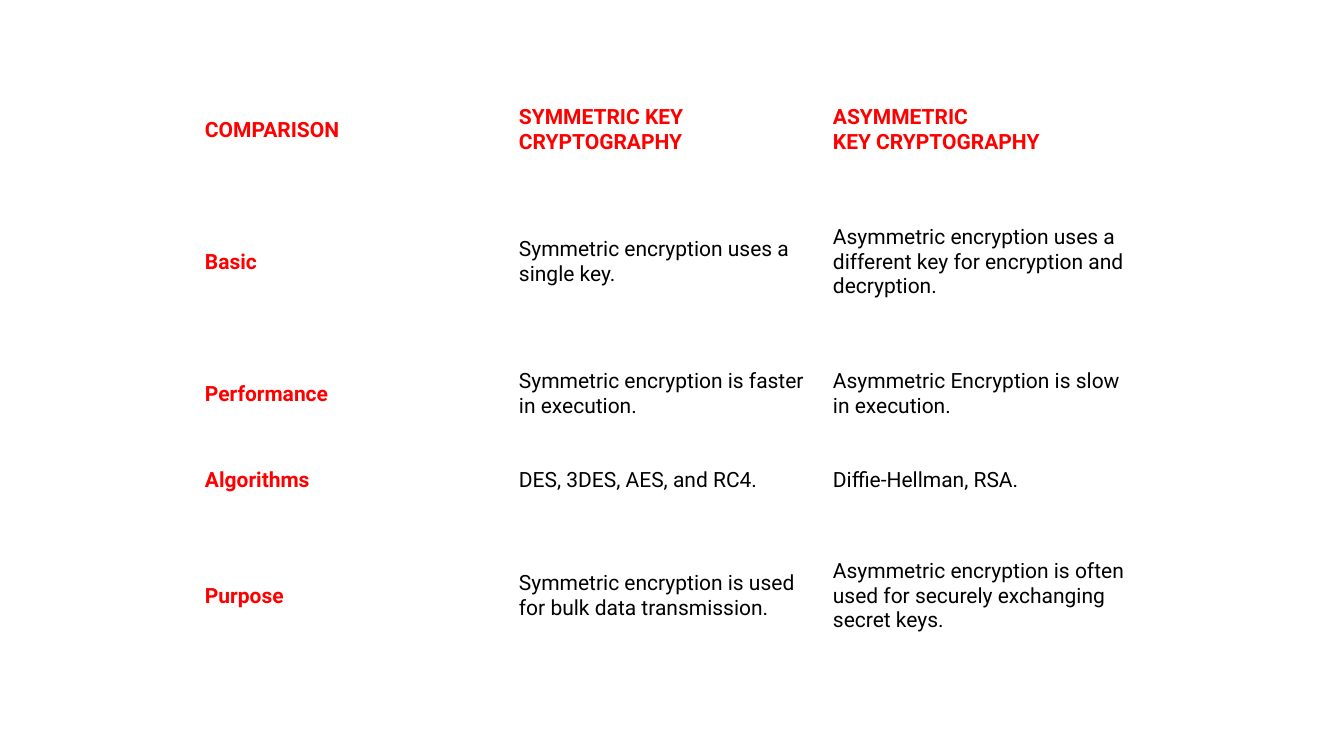
"""Build a slide with a table comparing symmetric and asymmetric key cryptography."""
from pptx import Presentation, util as u
from pptx.dml.color import RGBColor
from pptx.enum import text

ROWS = [
    (102, "COMPARISON", "SYMMETRIC KEY CRYPTOGRAPHY",
     "ASYMMETRIC KEY\u00a0CRYPTOGRAPHY"),
    (162, "Basic", "Symmetric encryption uses a single key.",
     "Asymmetric encryption uses a different key for encryption and decryption."),
    (102, "Performance", "Symmetric encryption is faster in execution.",
     "Asymmetric Encryption is slow in execution."),
    (70, "Algorithms", "DES, 3DES, AES, and RC4.", "Diffie-Hellman, RSA."),
    (162, "Purpose", "Symmetric encryption is used for bulk data transmission.",
     "Asymmetric encryption is often used for securely exchanging secret keys."),
]
WIDE, HIGH = 1344, 756
LEFT, TOP, COL = 197, 79, 314
COLS = len(ROWS[0]) - 1
RED, BLACK, WHITE = "FF0000", "000000", "FFFFFF"


def px(n):
    return u.Emu(round(n * 12192000 / WIDE))


def paint(fmt, code):
    fmt.rgb = RGBColor.from_string(code)


def write(cell, words, head):
    cell.fill.solid()
    paint(cell.fill.fore_color, WHITE)
    cell.vertical_anchor = text.MSO_ANCHOR.MIDDLE
    cell.margin_left = cell.margin_right = px(8)
    cell.margin_top = cell.margin_bottom = px(4)
    run = cell.text_frame.paragraphs[0].add_run()
    run.text = words
    run.font.name = "Roboto"
    run.font.size = u.Pt(15)
    run.font.bold = head
    paint(run.font.color, RED if head else BLACK)


deck = Presentation()
deck.slide_width, deck.slide_height = px(WIDE), px(HIGH)
slide = deck.slides.add_slide(deck.slide_layouts[6])
tall = sum(row[0] for row in ROWS)
grid = slide.shapes.add_table(len(ROWS), COLS, px(LEFT), px(TOP),
                              px(COL * COLS), px(tall)).table
grid.first_row = grid.horz_banding = False
for col in grid.columns:
    col.width = px(COL)
for r, (high, *words) in enumerate(ROWS):
    grid.rows[r].height = px(high)
    for c, word in enumerate(words):
        write(grid.cell(r, c), word, r == 0 or c == 0)

deck.save("out.pptx")
